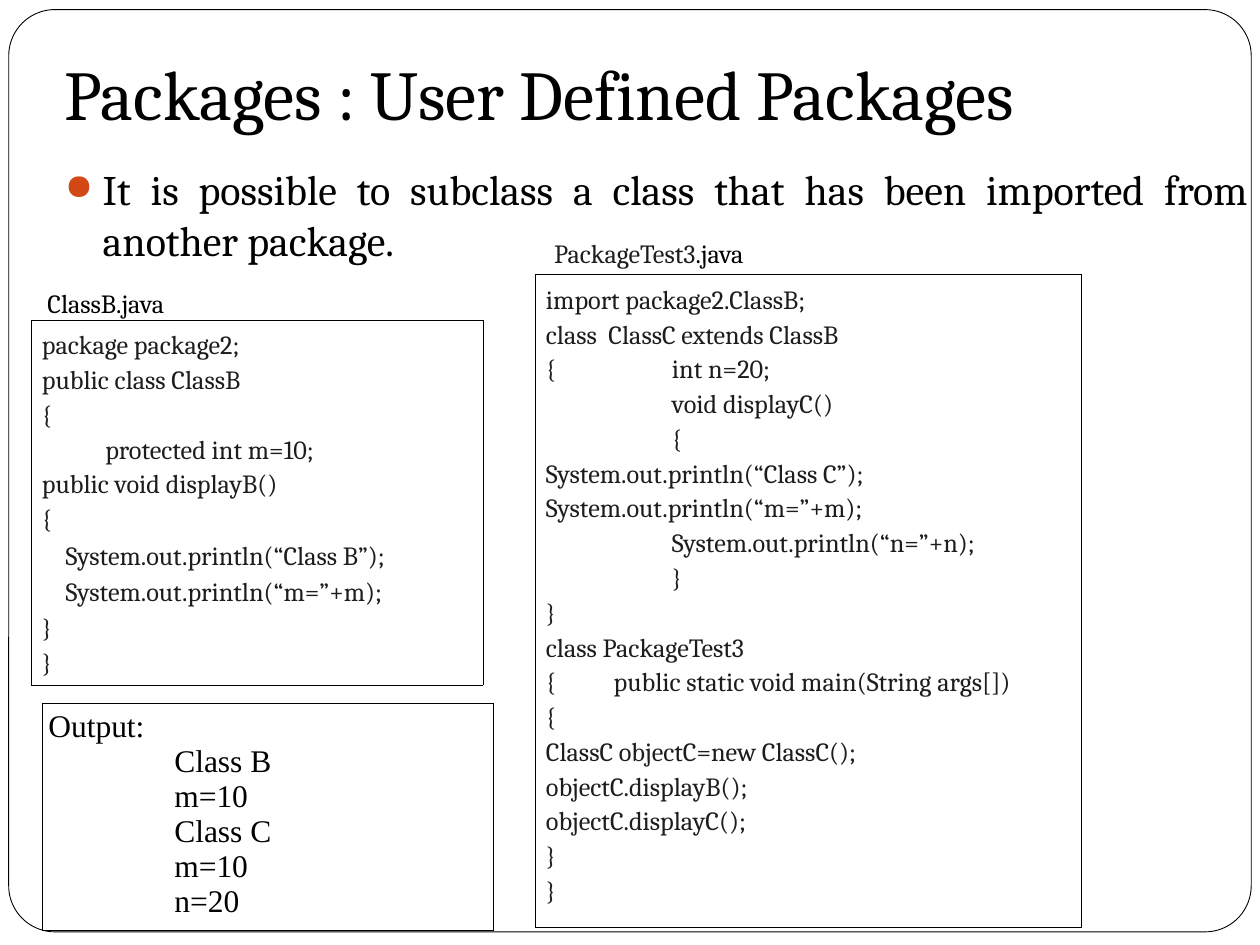
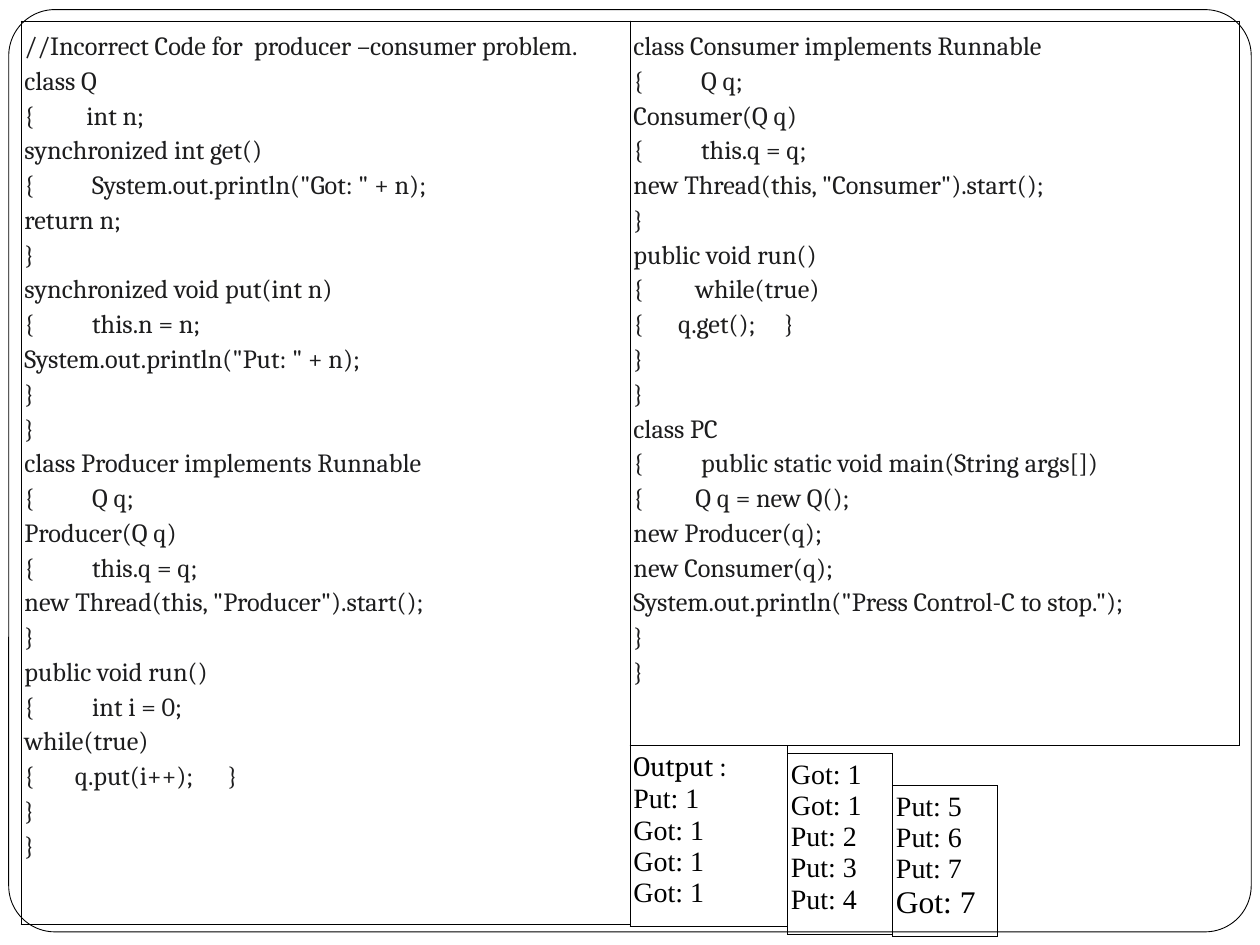
from lxml.etree import SubElement
from pptx import Presentation
from pptx.dml.color import RGBColor
from pptx.enum.shapes import MSO_SHAPE
from pptx.enum.text import MSO_ANCHOR, PP_ALIGN
from pptx.oxml.ns import qn
from pptx.util import Pt

COLORS = {"ink": "000000", "code": "1D1D1E", "paper": "FFFFFF", "bullet": "D34817"}
SERIF, TIMES, SANS = "Cambria", "Times New Roman", "Calibri"
CODE = (SERIF, 15, "code")
INCH = 72


def add_run(p, text, font, size, color):
    r = p.add_run()
    r.text = text
    r.font.name = font
    r.font.size = Pt(size)
    r.font.color.rgb = RGBColor.from_string(COLORS[color])


def add_text_box(s, box, wrap=True, anchor=MSO_ANCHOR.TOP):
    tf = s.shapes.add_textbox(*[Pt(v) for v in box]).text_frame
    tf.word_wrap = wrap
    tf.vertical_anchor = anchor
    return tf


prs = Presentation()
prs.slide_width, prs.slide_height = Pt(720), Pt(540)

class_b = """package package2;
public class ClassB
{
           protected int m=10;
public void displayB()
{
    System.out.println(“Class B”);
    System.out.println(“m=”+m);
}
}"""

package_test = """import package2.ClassB;
class  ClassC extends ClassB
{    \tint n=20;
\tvoid displayC()
\t{
System.out.println(“Class C”);
System.out.println(“m=”+m);
\tSystem.out.println(“n=”+n);
\t}
}
class PackageTest3
{          public static void main(String args[])
{
ClassC objectC=new ClassC();
objectC.displayB();
objectC.displayC();
}
}"""

producer = """//Incorrect Code for  producer –consumer problem.
class Q
{         int n;
synchronized int get()
{          System.out.println("Got: " + n);
return n;
}
synchronized void put(int n)
{          this.n = n;
System.out.println("Put: " + n);
}
}
class Producer implements Runnable
{          Q q;
Producer(Q q)
{          this.q = q;
new Thread(this, "Producer").start();
}
public void run()
{          int i = 0;
while(true)
{       q.put(i++);      }
}
}"""

consumer = """class Consumer implements Runnable
{          Q q;
Consumer(Q q)
{          this.q = q;
new Thread(this, "Consumer").start();
}
public void run()
{         while(true)
{      q.get();     }
}
}
class PC
{          public static void main(String args[])
{         Q q = new Q();
new Producer(q);
new Consumer(q);
System.out.println("Press Control-C to stop.");
}
}"""

package_output = "Output:\n\tClass B\n\tm=10\n\tClass C\n\tm=10\n\tn=20"
first_output = "Output :\nPut: 1\nGot: 1\nGot: 1\nGot: 1"
second_output = "Got: 1\nGot: 1\nPut: 2\nPut: 3\nPut: 4"
third_output = "Put: 5\nPut: 6\nPut: 7\nGot: 7"

out16, out18 = (TIMES, 16, "ink"), (TIMES, 18, "ink")
slide_panels = [
    [
        ((18, 183, 258, 206.5), 6, class_b, CODE, {}),
        ((306, 157, 312, 373), 6, package_test, CODE, {}),
        ((24, 402, 258, 129.6), 3.6, package_output, out18, {}),
    ],
    [
        ((12, 12, 348, 516), 2, producer, CODE, {}),
        ((360, 12, 348, 414), 2, consumer, CODE, {}),
        ((360, 426, 90, 103), 2, first_output, out16, {0: (SERIF, 16, "ink")}),
        ((450, 430.5, 60, 103), 2, second_output, out16, {}),
        ((510, 448.8, 60, 79.5), 2, third_output, out16, {3: out18}),
    ],
]

for panels in slide_panels:
    s = prs.slides.add_slide(prs.slide_layouts[6])
    frame = s.shapes.add_shape(MSO_SHAPE.ROUNDED_RECTANGLE, Pt(5), Pt(5.5), Pt(710), Pt(527))
    frame.adjustments[0] = 0.05
    frame.shadow.inherit = False
    frame.fill.solid()
    frame.fill.fore_color.rgb = RGBColor.from_string(COLORS["paper"])
    frame.line.color.rgb = RGBColor.from_string(COLORS["ink"])
    frame.line.width = Pt(0.5)

    for box, inset, text, style, line_styles in panels:
        table = s.shapes.add_table(1, 1, *[Pt(v) for v in box]).table
        table.first_row = table.horz_banding = False
        cell = table.cell(0, 0)
        cell.margin_left = cell.margin_right = Pt(inset)
        cell.margin_top = cell.margin_bottom = Pt(3.6)
        tcPr = cell._tc.get_or_add_tcPr()
        for side in ("lnL", "lnR", "lnT", "lnB"):
            ln = SubElement(tcPr, qn(f"a:{side}"), w=str(Pt(0.45)))
            fill = SubElement(ln, qn("a:solidFill"))
            SubElement(fill, qn("a:srgbClr"), val=COLORS["ink"])
        cell.fill.background()

        tf = cell.text_frame
        for i, line in enumerate(text.split("\n")):
            p = tf.paragraphs[0] if i == 0 else tf.add_paragraph()
            if style == CODE:
                p.alignment = PP_ALIGN.JUSTIFY
                p.line_spacing = 1.15
            tabs = SubElement(p._p.get_or_add_pPr(), qn("a:tabLst"))
            SubElement(tabs, qn("a:tab"), pos=str(Pt(INCH)), algn="l")
            font, size, color = line_styles.get(i, style)
            if line.startswith("    System"):
                add_run(p, line[:4], SANS, size, color)
                line = line[4:]
            add_run(p, line, font, size, color)

s = prs.slides[0]
tf = add_text_box(s, (30, 21.6, 666, 62.6), anchor=MSO_ANCHOR.BOTTOM)
tf.margin_bottom = Pt(7.2)
add_run(tf.paragraphs[0], "Packages : User Defined Packages", SERIF, 40, "ink")

p = add_text_box(s, (30, 90, 690, 432)).paragraphs[0]
p.alignment = PP_ALIGN.JUSTIFY
pPr = p._p.get_or_add_pPr()
pPr.set("marL", str(Pt(21.6)))
pPr.set("indent", str(Pt(-21.6)))
bullet_color = SubElement(pPr, qn("a:buClr"))
SubElement(bullet_color, qn("a:srgbClr"), val=COLORS["bullet"])
SubElement(pPr, qn("a:buSzPct"), val="85000")
SubElement(pPr, qn("a:buChar"), char="●")
add_run(p, "It is possible to subclass a class that has been imported from another package.", SERIF, 24, "ink")

file_labels = [
    ((20, 160.5, 81.5, 25), [("ClassB.java", "ink")]),
    ((309.6, 132, 124.5, 25), [("PackageTest3", "code"), (".java", "ink")]),
]
for box, runs in file_labels:
    p = add_text_box(s, box, wrap=False).paragraphs[0]
    for text, color in runs:
        add_run(p, text, SERIF, 15, color)

prs.save("out.pptx")
